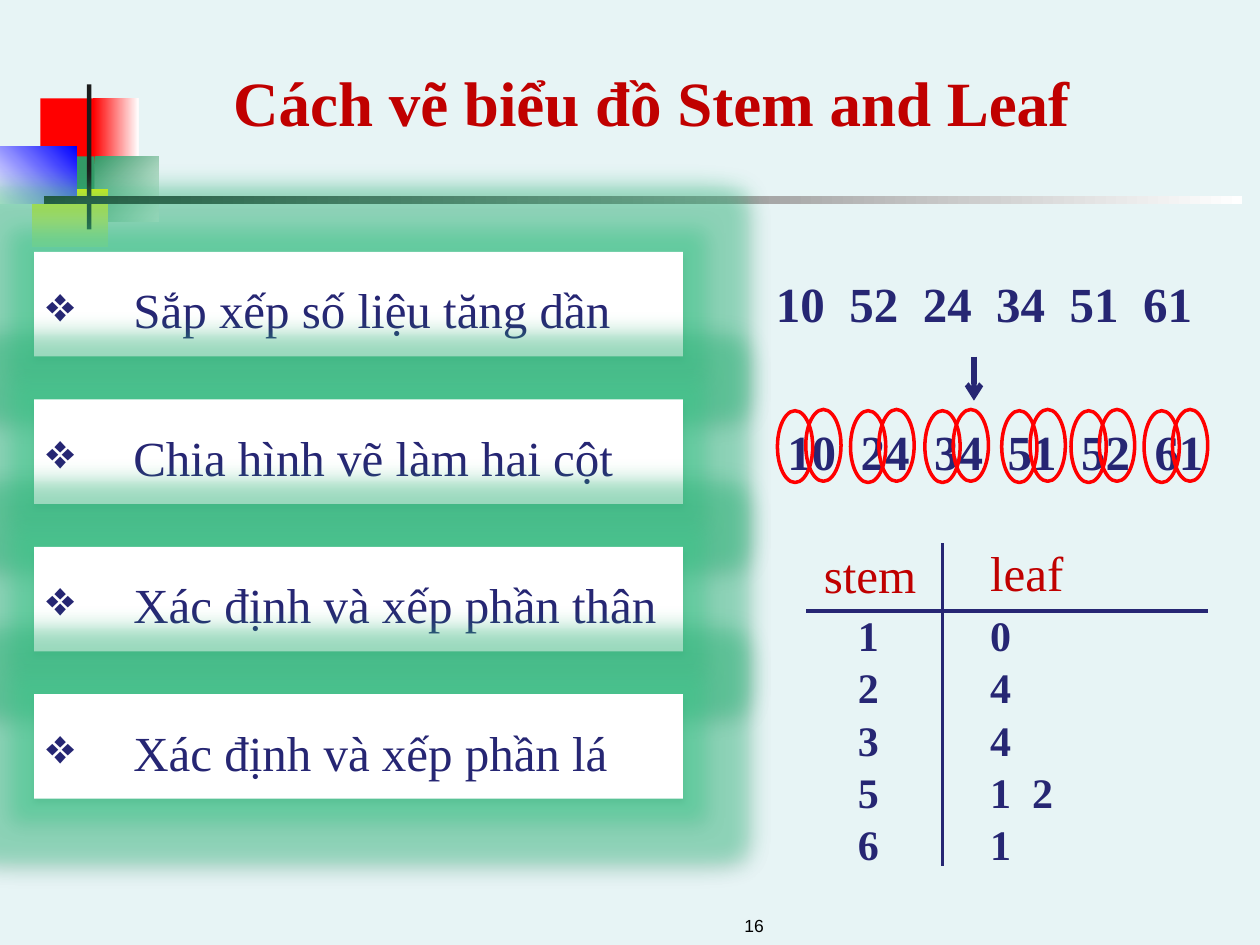
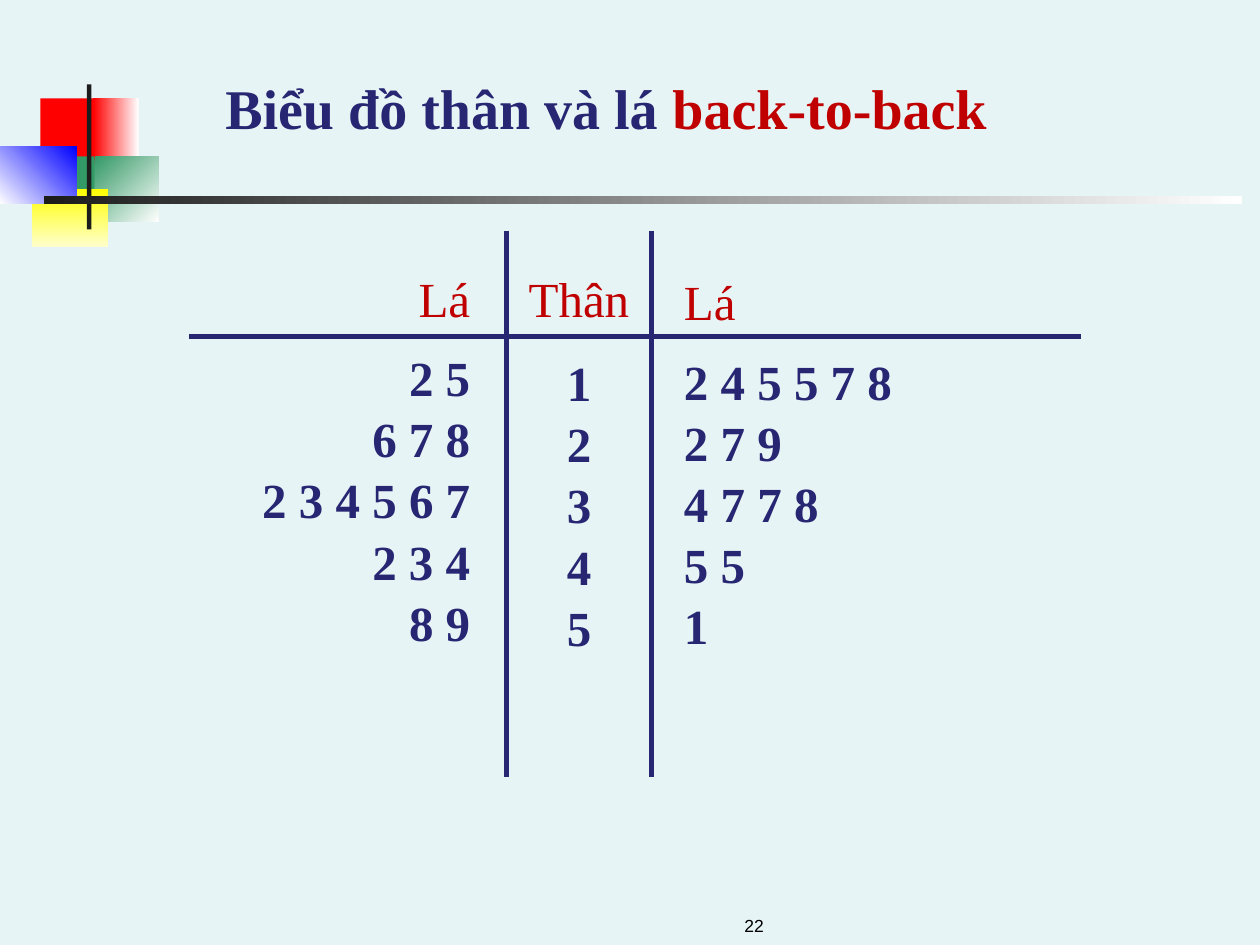
from lxml import etree
from pptx import Presentation
from pptx.dml.color import RGBColor
from pptx.enum.shapes import MSO_CONNECTOR, MSO_SHAPE
from pptx.enum.text import MSO_ANCHOR, PP_ALIGN
from pptx.oxml import parse_xml
from pptx.oxml.ns import nsdecls, qn
from pptx.util import Inches, Pt

COLORS = {
    "background": "E7F4F5", "navy": "262673", "crimson": "C00000",
    "red": "FF0000", "green": "339966", "yellow": "FFFF00",
    "cream": "FFFFCC", "blue": "0000FF", "white": "FFFFFF",
    "ink": "1C1C1C", "black": "000000", "glow": "35D18C",
}
SERIF, SANS = "Times New Roman", "Arial"
LEFT, CENTER, RIGHT = PP_ALIGN.LEFT, PP_ALIGN.CENTER, PP_ALIGN.RIGHT
COLUMNS, ROWS = 100, 75
NUMBER_PITCH = 5.83
CARD_EFFECTS = f"""<a:effectLst {nsdecls('a')}>
  <a:glow rad="{Inches(0.35)}">
    <a:srgbClr val="{COLORS['glow']}"><a:alpha val="40000"/></a:srgbClr>
  </a:glow>
  <a:outerShdw blurRad="{Pt(3.5)}" dist="{Pt(2.2)}" dir="5400000" rotWithShape="0">
    <a:srgbClr val="{COLORS['black']}"><a:alpha val="32000"/></a:srgbClr>
  </a:outerShdw>
</a:effectLst>"""


def rgb(name):
    return RGBColor.from_string(COLORS[name])


class Deck:
    """Draws on the current slide; lengths are columns and rows of a 100 x 75 grid."""

    def __init__(self):
        self.presentation = Presentation()
        self.presentation.slide_width = Inches(10)
        self.presentation.slide_height = Inches(7.5)
        self.slide = None

    def x(self, columns):
        return round(self.presentation.slide_width * columns / COLUMNS)

    def y(self, rows):
        return round(self.presentation.slide_height * rows / ROWS)

    def box(self, left, top, width, height):
        return self.x(left), self.y(top), self.x(width), self.y(height)

    def new_slide(self, number):
        layout = self.presentation.slide_layouts[6]
        self.slide = self.presentation.slides.add_slide(layout)
        fill = self.slide.background.fill
        fill.solid()
        fill.fore_color.rgb = rgb("background")
        self.decoration()
        self.text((38.3, 70.8, 23.3, 4), [[(number, "black")]], 10, align=RIGHT,
                  bold=False, font=SANS, anchor=MSO_ANCHOR.BOTTOM)

    def decoration(self):
        """Coloured squares and the fading rule under the title."""
        self.shape((3.2, 7.8, 4.8, 5.2), "red")
        self.shape((7.4, 7.8, 3.6, 5.2), "red", fade_to="white")
        self.shape((7.5, 12.4, 5.1, 5.2), "green", fade_to="white", angle=315)
        self.shape((4.3, 12.4, 3.2, 5.2), "green")
        self.shape((2.5, 15, 6.1, 4.6), "yellow", fade_to="cream", angle=270)
        self.shape((0, 11.6, 6.1, 4.6), "white", fade_to="blue", angle=45)
        self.shape((6.9, 6.7, 0.35, 11.5), "ink")
        self.shape((3.5, 15.6, 95.1, 0.6), "ink", fade_to="white")

    def shape(self, place, color=None, fade_to=None, angle=0, outline=None,
              kind=MSO_SHAPE.RECTANGLE):
        shape = self.slide.shapes.add_shape(kind, *self.box(*place))
        shape.shadow.inherit = False
        if fade_to:
            shape.fill.gradient()
            shape.fill.gradient_angle = angle
            for stop, name in zip(shape.fill.gradient_stops, (color, fade_to)):
                stop.color.rgb = rgb(name)
        elif color:
            shape.fill.solid()
            shape.fill.fore_color.rgb = rgb(color)
        else:
            shape.fill.background()
        if outline:
            shape.line.color.rgb = rgb(outline)
            shape.line.width = Pt(2)
        else:
            shape.line.fill.background()
        return shape

    def line(self, start, end, width, arrow=False):
        connector = self.slide.shapes.add_connector(
            MSO_CONNECTOR.STRAIGHT, self.x(start[0]), self.y(start[1]),
            self.x(end[0]), self.y(end[1]))
        connector.line.color.rgb = rgb("navy")
        connector.line.width = Pt(width)
        if arrow:
            outline = connector.line._get_or_add_ln()
            etree.SubElement(outline, qn("a:tailEnd"), type="arrow")
        properties = connector._element.spPr
        etree.SubElement(properties, qn("a:effectLst"))

    def run(self, paragraph, text, color, size, bold=True, font=SERIF):
        run = paragraph.add_run()
        run.text = text
        run.font.name = font
        run.font.size = Pt(size)
        run.font.bold = bold
        run.font.color.rgb = rgb(color)

    def text(self, place, paragraphs, size, align=LEFT, bold=True, font=SERIF,
             anchor=MSO_ANCHOR.TOP, tabs=()):
        """Each paragraph is a list of (text, colour) runs."""
        frame = self.slide.shapes.add_textbox(*self.box(*place)).text_frame
        frame.word_wrap = True
        frame.vertical_anchor = anchor
        if font == SERIF:
            frame.margin_top = Inches(0.07)
        for index, runs in enumerate(paragraphs):
            paragraph = frame.add_paragraph() if index else frame.paragraphs[0]
            paragraph.alignment = align
            if font == SERIF:
                paragraph.line_spacing = 1.04
            if tabs:
                tab_list = etree.SubElement(paragraph._p.get_or_add_pPr(), qn("a:tabLst"))
                for stop in tabs:
                    etree.SubElement(tab_list, qn("a:tab"), pos=str(self.x(stop)), algn="l")
            for text, color in runs:
                self.run(paragraph, text, color, size, bold, font)

    def heading(self, place, text, align=LEFT):
        self.text(place, [[(text, "crimson")]], 28, align, bold=False)

    def digits(self, place, lines, size=28, align=LEFT, tabs=()):
        self.text(place, [[(line, "navy")] for line in lines], size, align, tabs=tabs)

    def number_row(self, left, top, numbers):
        tabs = [NUMBER_PITCH * index for index in range(1, len(numbers))]
        self.digits((left, top, 38, 5.7), ["\t".join(numbers)], tabs=tabs)

    def card(self, top, text):
        card = self.shape((2.7, top, 51.5, 8.3), "white")
        properties = card._element.spPr
        properties.remove(properties.find(qn("a:effectLst")))
        properties.append(parse_xml(CARD_EFFECTS))
        frame = card.text_frame
        frame.word_wrap = True
        frame.vertical_anchor = MSO_ANCHOR.MIDDLE
        frame.margin_top = Inches(0.13)
        paragraph = frame.paragraphs[0]
        paragraph.alignment = LEFT
        indent = self.x(6.9)
        paragraph_properties = paragraph._p.get_or_add_pPr()
        paragraph_properties.set("marL", str(indent))
        paragraph_properties.set("indent", str(-indent))
        etree.SubElement(paragraph_properties, qn("a:buChar"), char="❖")
        self.run(paragraph, text, "navy", 28, bold=False)

    def ring(self, left, top):
        self.shape((left, top, 2.8, 5.7), outline="red", kind=MSO_SHAPE.OVAL)


def stem_and_leaf_slide(deck):
    deck.new_slide("16")
    deck.text((3.4, 4.1, 96.6, 7.1), [[("Cách vẽ biểu đồ Stem and Leaf", "crimson")]],
              36, align=CENTER)
    steps = ["Sắp xếp số liệu tăng dần", "Chia hình vẽ làm hai cột",
             "Xác định và xếp phần thân", "Xác định và xếp phần lá"]
    for index, step in enumerate(steps):
        deck.card(20 + 11.7 * index, step)

    deck.number_row(60.6, 20.8, ["10", "52", "24", "34", "51", "61"])
    deck.line((77.3, 28.3), (77.3, 31.8), 3, arrow=True)
    deck.number_row(61.5, 32.6, ["10", "24", "34", "51", "52", "61"])
    for stem_left in (61.7, 67.5, 73.4, 79.5, 85, 90.8):
        deck.ring(stem_left, 32.6)
        deck.ring(stem_left + 2.25, 32.5)

    deck.line((74.8, 43.1), (74.8, 68.7), 2.25)
    deck.line((64, 48.5), (95.9, 48.5), 2.25)
    deck.heading((64.4, 42.3, 9.6, 5.7), "stem")
    deck.heading((77.6, 42.2, 9.6, 5.7), "leaf")
    deck.digits((67.1, 47.5, 7, 21.2), "12356", 24)
    deck.digits((77.6, 47.5, 10.4, 21.2), ["0", "4", "4", "1\t2", "1"], 24, tabs=[3.33])


def back_to_back_slide(deck):
    deck.new_slide("22")
    deck.text((16.9, 4.9, 66, 6.5), [[("Biểu đồ thân và lá ", "navy"),
                                      ("back-to-back", "crimson")]], 32)
    for divider in (40.2, 51.7):
        deck.line((divider, 18.3), (divider, 61.7), 3)
    deck.line((15, 26.7), (85.8, 26.7), 3)
    columns = [
        (18.3, 20, 20.4, 26.7, RIGHT, "Lá",
         ["2 5", "6 7 8", "2 3 4 5 6 7", "2 3 4", "8 9"]),
        (40.2, 11.5, 20.4, 27.1, CENTER, "Thân", "12345"),
        (53.3, 20, 20.7, 27, LEFT, "Lá",
         ["2 4 5 5 7 8", "2 7 9", "4 7 7 8", "5 5", "1"]),
    ]
    for left, width, heading_top, digits_top, align, heading, lines in columns:
        deck.heading((left, heading_top, width, 5.7), heading, align)
        deck.digits((left, digits_top, width, 24.6), lines, align=align)


def main():
    deck = Deck()
    stem_and_leaf_slide(deck)
    back_to_back_slide(deck)
    deck.presentation.save("out.pptx")


if __name__ == "__main__":
    main()
